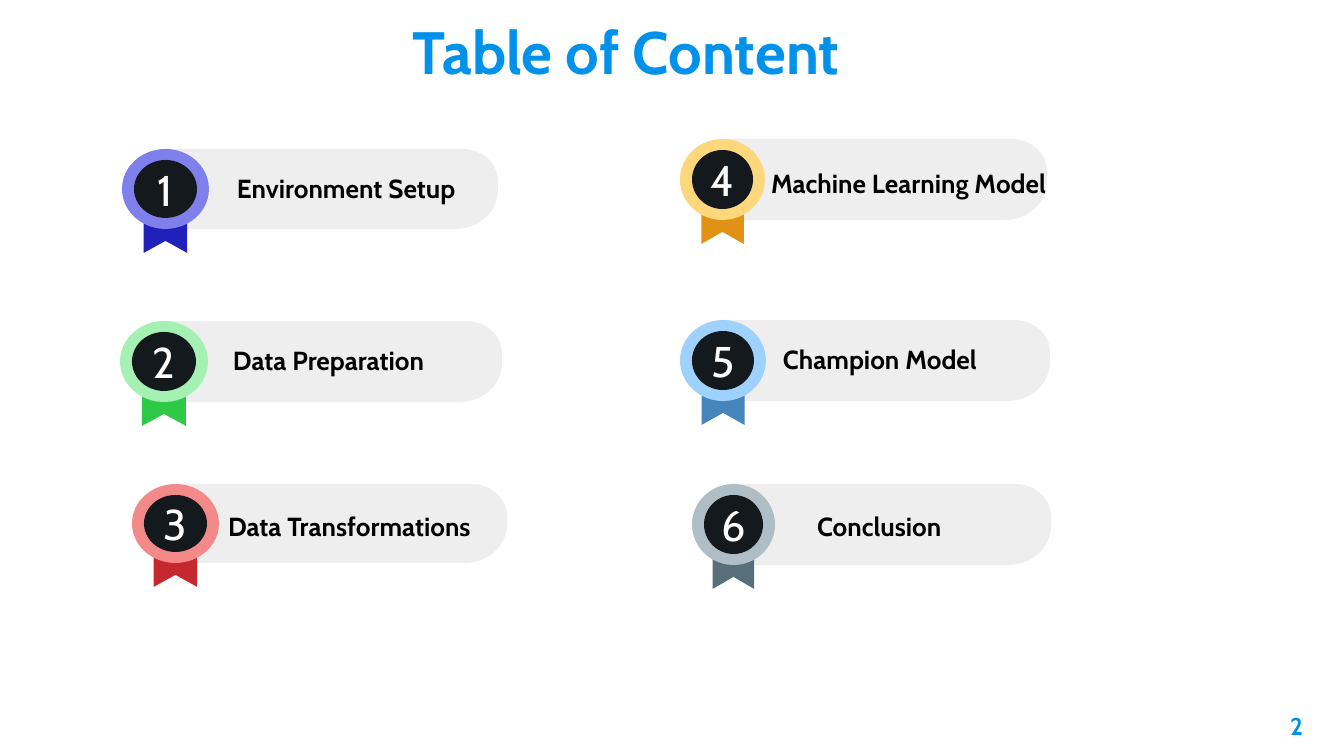
"""Build the table of contents slide with six numbered medals."""
from dataclasses import dataclass
from math import cos, pi, sin

from pptx import Presentation
from pptx.dml.color import RGBColor
from pptx.enum.shapes import MSO_SHAPE as Preset
from pptx.enum.text import MSO_ANCHOR as Anchor, MSO_AUTO_SIZE as AutoSize, PP_ALIGN as Align
from pptx.util import Emu, Pt

PX = 914400 / 134.4
INSET = 13
COLORS = {
    "accent": "0091EA", "bar": "EEEEEE", "badge": "13191C", "white": "FFFFFF", "black": "000000",
    "blue": "8080ED", "blue ribbon": "2020BA",
    "green": "A5F1B3", "green ribbon": "2FC948",
    "red": "F48989", "red ribbon": "C6282F",
    "yellow": "FDD77C", "yellow ribbon": "E09214",
    "sky": "9ED1FD", "sky ribbon": "4685BC",
    "gray": "AFBDC6", "gray ribbon": "576F7A",
}


@dataclass(frozen=True)
class Chapter:
    title: str
    color: str
    ring: tuple[int, int, int, int]
    bar_right: int
    label: tuple[int, int, int, int]
    space_before: int = 4


CHAPTERS = [
    Chapter("Environment Setup", "blue", (122, 149, 87, 80), 498, (224, 165, 254, 46)),
    Chapter("Data Preparation", "green", (120, 321, 88, 81), 502, (220, 337, 265, 46)),
    Chapter("Data Transformations", "red", (132, 484, 87, 79), 507, (215, 503, 284, 46)),
    Chapter("Machine Learning Model", "yellow", (680, 139, 85, 81), 1047, (758, 160, 324, 46), 0),
    Chapter("Champion Model", "sky", (680, 320, 86, 81), 1050, (770, 336, 280, 46)),
    Chapter("Conclusion", "gray", (692, 484, 83, 81), 1051, (804, 503, 177, 46)),
]


def px(length: float) -> Emu:
    """Turn pixels into EMU."""
    return Emu(round(length * PX))


def rgb(name: str) -> RGBColor:
    """Look up a named colour."""
    return RGBColor.from_string(COLORS[name])


def paint(shape, color: str) -> None:
    """Give a shape a flat fill without line or shadow."""
    shape.shadow.inherit = False
    shape.fill.solid()
    shape.fill.fore_color.rgb = rgb(color)
    shape.line.fill.background()


def write(shape, text: str, color: str, size: int, bold: bool = True, inset: int = INSET,
          align: Align = Align.LEFT, space_before: int = 0, **frame_format) -> None:
    """Put one formatted paragraph into a shape."""
    frame = shape.text_frame
    sides = {f"margin_{side}": px(inset) for side in ("left", "top", "right", "bottom")}
    for name, value in ({"word_wrap": True} | sides | frame_format).items():
        setattr(frame, name, value)
    paragraph = frame.paragraphs[0]
    paragraph.alignment = align
    paragraph.space_before = Pt(space_before)
    run = paragraph.add_run()
    run.text = text
    for name, value in {"name": "Cabin", "size": Pt(size), "bold": bold}.items():
        setattr(run.font, name, value)
    run.font.color.rgb = rgb(color)


def draw_outline(shapes, points: list[tuple[float, float]], color: str) -> None:
    """Draw a closed filled outline."""
    start, *rest = [(px(x), px(y)) for x, y in points]
    builder = shapes.build_freeform(*start)
    builder.add_line_segments(rest, close=True)
    paint(builder.convert_to_shape(), color)


def corner(x: float, y: float, rx: int, ry: int, start: float) -> list[tuple[float, float]]:
    """Sample a quarter ellipse clockwise from a start angle."""
    angles = [start + step * pi / 32 for step in range(17)]
    return [(x + rx * cos(angle), y + ry * sin(angle)) for angle in angles]


def draw_oval(shapes, box: tuple[int, int, int, int], color: str):
    """Draw a filled oval."""
    oval = shapes.add_shape(Preset.OVAL, *map(px, box))
    paint(oval, color)
    return oval


def draw_medal(shapes, number: int, chapter: Chapter) -> None:
    """Draw the bar, ribbon, ring and numbered badge of a chapter."""
    left, top, width, height = chapter.ring
    middle, bottom, right = left + width / 2, top + height, chapter.bar_right
    draw_outline(shapes, [(middle, bottom), (middle, top),
                          *corner(right - 36, top + 32, 36, 32, -pi / 2),
                          *corner(right - 42, bottom - 39, 42, 39, 0)], "bar")
    near, far = middle - width / 4, middle + width / 4
    draw_outline(shapes, [(near, bottom - 14), (near, bottom + 24), (middle, bottom + 12),
                          (far, bottom + 24), (far, bottom - 14)], f"{chapter.color} ribbon")
    draw_oval(shapes, chapter.ring, chapter.color)
    badge = draw_oval(shapes, (left + 12, top + 11, width - 24, height - 22), "badge")
    write(badge, str(number), "white", 23, bold=False, inset=0, align=Align.CENTER,
          vertical_anchor=Anchor.MIDDLE)


def main() -> None:
    """Assemble and save the slide."""
    deck = Presentation()
    deck.slide_width, deck.slide_height = px(1344), px(756)
    slide = deck.slides.add_slide(deck.slide_layouts[5])
    heading = slide.shapes.title
    for side, length in zip(("left", "top", "width", "height"), (358, 27, 536, 73)):
        setattr(heading, side, px(length))
    write(heading, "Table of Content", "accent", 32, align=Align.CENTER,
          vertical_anchor=Anchor.BOTTOM, auto_size=AutoSize.NONE)
    page_number = slide.shapes.add_textbox(*map(px, (1235, 698, 81, 58)))
    write(page_number, "2", "accent", 13, align=Align.RIGHT)
    for number, chapter in enumerate(CHAPTERS, 1):
        draw_medal(slide.shapes.add_group_shape().shapes, number, chapter)
        label = slide.shapes.add_textbox(*map(px, chapter.label))
        write(label, chapter.title, "black", 14, space_before=chapter.space_before,
              margin_top=px(7), margin_bottom=px(7), auto_size=AutoSize.SHAPE_TO_FIT_TEXT)
    deck.save("out.pptx")


if __name__ == "__main__":
    main()
